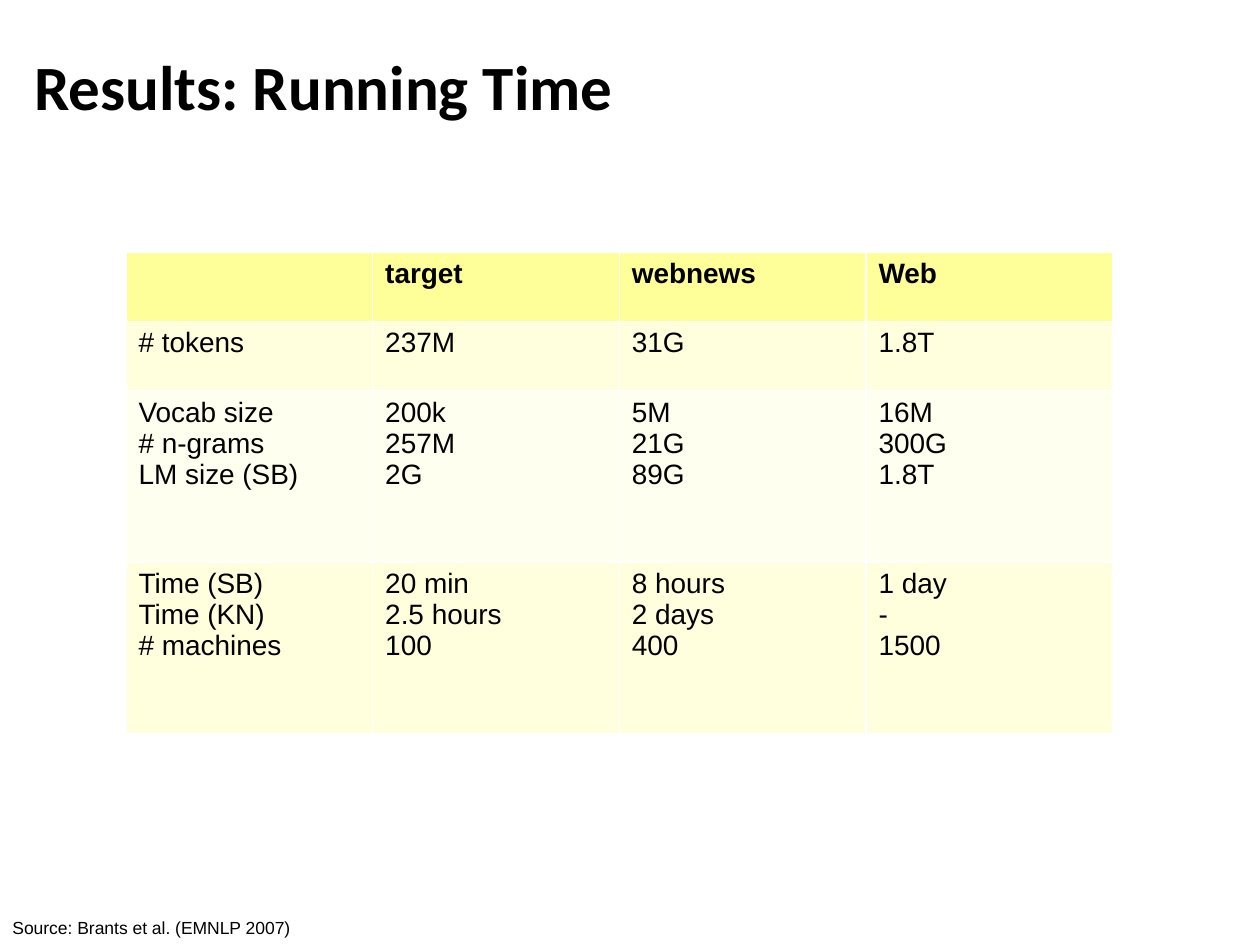
from pptx import Presentation
from pptx import util as u
from pptx.dml import color
from pptx.enum import text

COLORS = {"ink": "000000", "header": "FFFF99", "odd": "FFFFDE", "even": "FFFFEF"}

RESULTS = [
    ["", "target", "webnews", "Web"],
    ["# tokens", "237M", "31G", "1.8T"],
    ["Vocab size\n# n-grams\nLM size (SB)", "200k\n257M\n2G", "5M\n21G\n89G", "16M\n300G\n1.8T"],
    ["Time (SB)\nTime (KN)\n# machines", "20 min\n2.5 hours\n100", "8 hours\n2 days\n400", "1 day\n-\n1500"],
]
ROW_HEIGHTS = [0.55, 0.55, 1.36, 1.36]


def rgb(name):
    """Return the palette colour of that name."""
    return color.RGBColor.from_string(COLORS[name])


def write(frame, words, size, face="Arial", bold=False):
    """Fill a text frame with left-aligned paragraphs, one per line."""
    frame.text = words
    for paragraph in frame.paragraphs:
        paragraph.alignment = text.PP_ALIGN.LEFT
        font = paragraph.font
        font.name, font.size, font.bold = face, u.Pt(size), bold
        font.color.rgb = rgb("ink")


def place_title(slide, left, top, width, height):
    """Place the heading in the title placeholder."""
    title = slide.shapes.title
    title.left, title.top, title.width, title.height = left, top, width, height
    title.text_frame.vertical_anchor = text.MSO_ANCHOR.MIDDLE
    write(title.text_frame, "Results: Running Time", 36, "Calibri", True)


def place_results(slide, left, top, width, height):
    """Place the running-time table with equal columns and banded rows."""
    table = slide.shapes.add_table(len(RESULTS), len(RESULTS[0]), left, top, width, height).table
    for column in table.columns:
        column.width = width // len(RESULTS[0])
    for index, (row, entries) in enumerate(zip(table.rows, RESULTS)):
        row.height = u.Inches(ROW_HEIGHTS[index])
        band = "header" if index == 0 else "odd" if index % 2 else "even"
        for cell, words in zip(row.cells, entries):
            cell.fill.solid()
            cell.fill.fore_color.rgb = rgb(band)
            write(cell.text_frame, words, 16, bold=index == 0)


def place_source(slide, left, top, width, height):
    """Place the citation line at the foot of the slide."""
    frame = slide.shapes.add_textbox(left, top, width, height).text_frame
    frame.word_wrap = True
    frame.auto_size = text.MSO_AUTO_SIZE.SHAPE_TO_FIT_TEXT
    write(frame, "Source: Brants et al. (EMNLP 2007)", 10)


def main():
    """Build the slide and save it."""
    deck = Presentation()
    deck.slide_width, deck.slide_height = u.Inches(10), u.Inches(7.5)
    slide = deck.slides.add_slide(deck.slide_layouts[5])
    place_title(slide, u.Inches(0.17), u.Inches(0.12), u.Inches(9.5), u.Inches(1.12))
    place_source(slide, u.Inches(0), u.Inches(7.23), u.Inches(4.92), u.Inches(0.27))
    place_results(slide, u.Inches(1), u.Inches(2), u.Inches(7.83), u.Inches(sum(ROW_HEIGHTS)))
    deck.save("out.pptx")


if __name__ == "__main__":
    main()
